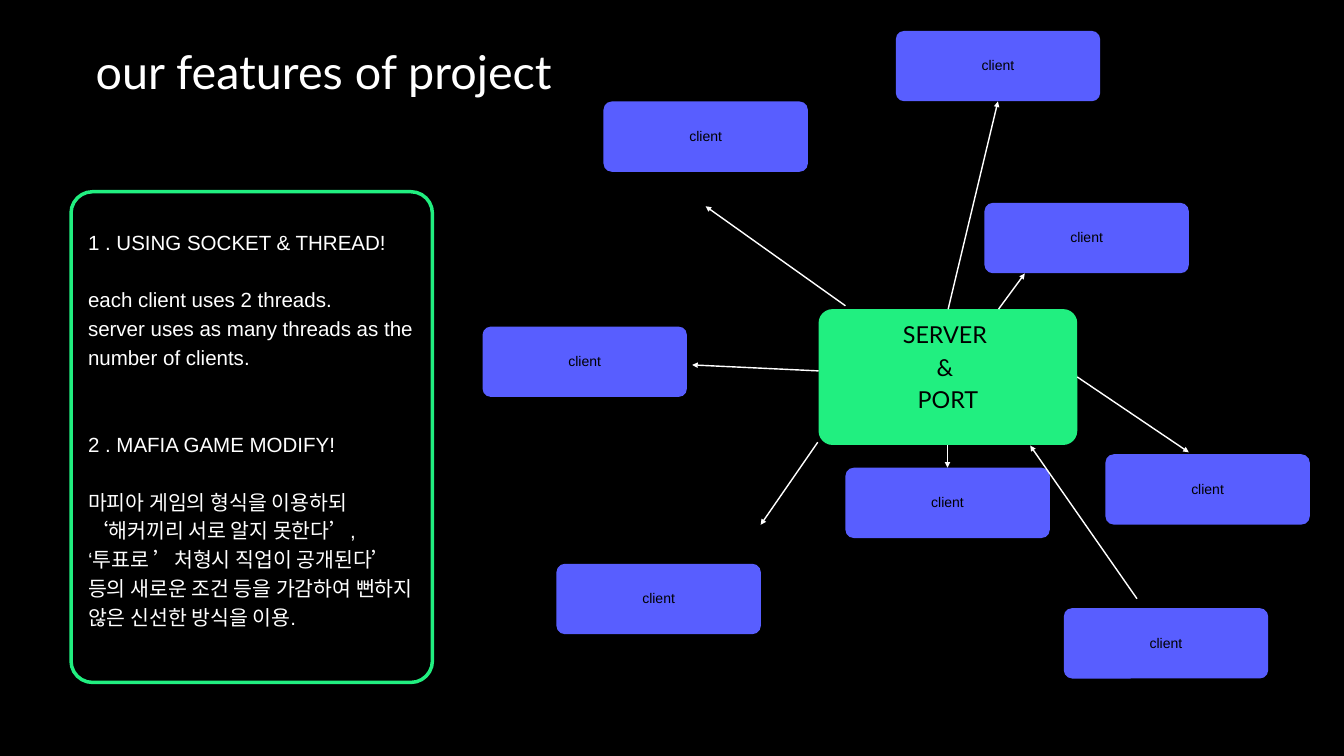
from lxml import etree
from pptx import Presentation
from pptx import util as u
from pptx.dml.color import RGBColor
from pptx.enum import shapes, text
from pptx.oxml.ns import qn

BLACK, WHITE, GREEN, BLUE = "000000", "FFFFFF", "21EF80", "585EFF"

CLIENTS = [(905.8, 501.1), (1184.4, 486.7), (1054.8, 217.4), (517, 349.9),
           (596.2, 604.1), (646.6, 108.7), (959.8, 33.1), (1139.8, 651.6)]

ARROWS = [(1154.2, 403.9, 1273.7, 484.6), (877, 397.4, 741.6, 391),
          (1069.9, 331.2, 1098, 293), (1015.2, 476.6, 1015.2, 501.1),
          (876.2, 473.8, 815, 562.3), (905.8, 327.6, 756, 221),
          (1015.9, 331.2, 1069.2, 108.7), (1218.2, 641.5, 1103.8, 477.4)]

THREADS = [("1 . USING SOCKET & THREAD!", "Arial", 0),
           ("each client uses 2 threads.", "Arial", 30.8),
           ("server uses as many threads as the number of clients.", "Arial", 0)]

MAFIA = [("2 . MAFIA GAME MODIFY!", "Arial", 0),
         ("마피아 게임의 형식을 이용하되", "Calibri", 30.8),
         ("‘해커끼리 서로 알지 못한다’, ‘투표로 ’처형시 직업이 공개된다’ 등의 새로운 조건 등을 "
          "가감하여 뻔하지 않은 신선한 방식을 이용.", "Arial", 0)]


def rgb(color):
    return RGBColor.from_string(color)


def write(tf, paras, size, color, leading, align):
    tf.word_wrap = True
    tf.margin_left = tf.margin_right = tf.margin_top = tf.margin_bottom = 0
    for i, (line, font, before) in enumerate(paras):
        p = tf.add_paragraph() if i else tf.paragraphs[0]
        p.alignment = align
        p.line_spacing = u.Pt(leading)
        if before:
            p.space_before = u.Pt(before)
        r = p.add_run()
        r.text = line
        r.font.name = font
        r.font.size = u.Pt(size)
        r.font.color.rgb = rgb(color)


def add_text(s, x, y, w, h, paras, size, leading, align=text.PP_ALIGN.LEFT):
    sp = s.shapes.add_textbox(u.Pt(x), u.Pt(y), u.Pt(w), u.Pt(h))
    write(sp.text_frame, paras, size, WHITE, leading, align)


def add_box(s, x, y, w, h, radius, fill, line=None):
    sp = s.shapes.add_shape(shapes.MSO_SHAPE.ROUNDED_RECTANGLE,
                            u.Pt(x), u.Pt(y), u.Pt(w), u.Pt(h))
    sp.shadow.inherit = False
    sp.adjustments[0] = radius / min(w, h)
    sp.fill.solid()
    sp.fill.fore_color.rgb = rgb(fill)
    if line:
        sp.line.color.rgb = rgb(line)
        sp.line.width = u.Pt(3.75)
    else:
        sp.line.fill.background()
    return sp


def add_node(s, x, y, w, h, radius, fill, lines, font, size, leading, lift):
    tf = add_box(s, x, y, w, h, radius, fill).text_frame
    paras = [(line, font, 0) for line in lines]
    write(tf, paras, size, BLACK, leading, text.PP_ALIGN.CENTER)
    tf.vertical_anchor = text.MSO_ANCHOR.MIDDLE
    tf.margin_bottom = u.Pt(lift)


def add_arrow(s, x1, y1, x2, y2):
    c = s.shapes.add_connector(shapes.MSO_CONNECTOR.STRAIGHT,
                               u.Pt(x1), u.Pt(y1), u.Pt(x2), u.Pt(y2))
    c.line.color.rgb = rgb(WHITE)
    c.line.width = u.Pt(1.5)
    etree.SubElement(c.line._get_or_add_ln(), qn("a:tailEnd"), type="triangle")
    etree.SubElement(c._element.spPr, qn("a:effectLst"))


def main():
    prs = Presentation()
    prs.slide_width, prs.slide_height = u.Pt(1440), u.Pt(810)
    s = prs.slides.add_slide(prs.slide_layouts[6])
    s.background.fill.solid()
    s.background.fill.fore_color.rgb = rgb(BLACK)

    add_text(s, 0, 46.1, 694, 122.4, [("our features of project", "Lato", 0)],
             50, 60, text.PP_ALIGN.CENTER)
    add_box(s, 76.1, 205.4, 387.2, 525.8, 23, BLACK, GREEN)
    add_text(s, 94.3, 241.9, 350, 183, THREADS, 22, 30.8)
    add_text(s, 94.3, 458.6, 350, 245, MAFIA, 22, 30.8)

    add_node(s, 877, 331.2, 277.2, 145.6, 15, GREEN,
             ["SERVER ", "& ", "PORT"], "Lato", 25, 35, 26.6)
    for x, y in CLIENTS:
        add_node(s, x, y, 219, 75.4, 9, BLUE, ["client"], "Arial", 15, 21, 4.6)
    for ends in ARROWS:
        add_arrow(s, *ends)
    prs.save("out.pptx")


if __name__ == "__main__":
    main()
